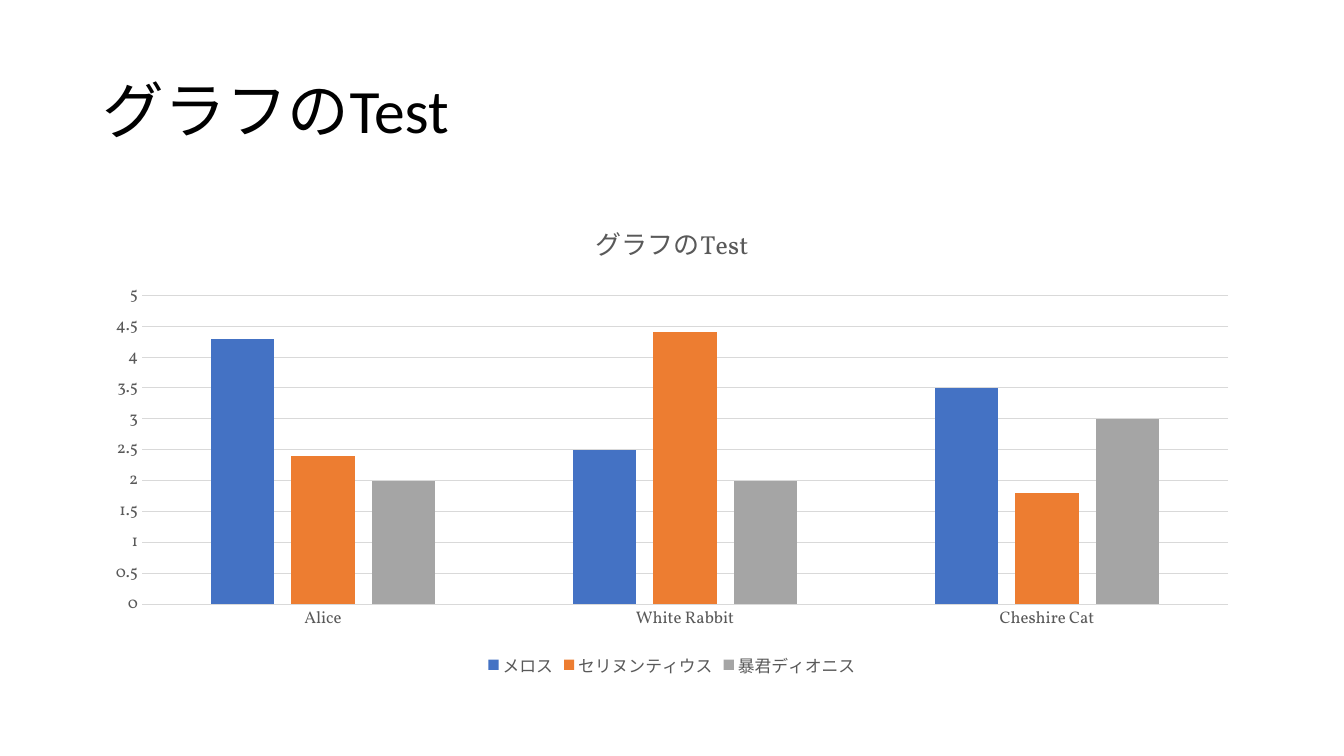
import pptx
import pptx.chart.data
import pptx.dml.color
import pptx.enum.chart
import pptx.enum.text
import pptx.util

COLORS = {
    "title": "000000",
    "label": "595959",
    "rule": "D9D9D9",
    "blue": "4472C4",
    "orange": "ED7D31",
    "gray": "A5A5A5",
}
WIDTH, HEIGHT = pptx.util.Inches(13.33), pptx.util.Inches(7.5)
HEADING = "グラフのTest"
CATEGORIES = ["Alice", "White Rabbit", "Cheshire Cat"]
SERIES = [
    ("メロス", (4.3, 2.5, 3.5), "blue"),
    ("セリヌンティウス", (2.4, 4.4, 1.8), "orange"),
    ("暴君ディオニス", (2, 2, 3), "gray"),
]


def rgb(name):
    """Return the named colour."""
    return pptx.dml.color.RGBColor.from_string(COLORS[name])


def box(top, height):
    """Return a rectangle within the side margins, from inches down the slide."""
    margin = int(WIDTH * 0.069)
    return margin, pptx.util.Inches(top), WIDTH - 2 * margin, pptx.util.Inches(height)


def style_font(font, name, size, color):
    """Set the typeface, size and colour of a font."""
    font.name = name
    font.size = pptx.util.Pt(size)
    font.bold = False
    font.color.rgb = rgb(color)


def style_line(line):
    """Draw a thin light rule."""
    line.color.rgb = rgb("rule")
    line.width = pptx.util.Pt(0.75)


def style_axis(axis):
    """Remove the tick marks of an axis and format its labels."""
    axis.major_tick_mark = pptx.enum.chart.XL_TICK_MARK.NONE
    axis.minor_tick_mark = pptx.enum.chart.XL_TICK_MARK.NONE
    style_font(axis.tick_labels.font, "Vollkorn", 12, "label")


def add_title(s):
    """Place and fill the slide title."""
    sp = s.shapes.title
    sp.left, sp.top, sp.width, sp.height = box(0.4, 1.45)
    tf = sp.text_frame
    tf.word_wrap = True
    tf.vertical_anchor = pptx.enum.text.MSO_ANCHOR.MIDDLE
    p = tf.paragraphs[0]
    p.alignment = pptx.enum.text.PP_ALIGN.LEFT
    p.line_spacing = 0.9
    r = p.add_run()
    r.text = HEADING
    style_font(r.font, "Calibri", 44, "title")


def add_column_chart(s):
    """Add the clustered column chart with its title, axes and legend."""
    data = pptx.chart.data.CategoryChartData()
    data.categories = CATEGORIES
    for name, values, _ in SERIES:
        data.add_series(name, values)
    kind = pptx.enum.chart.XL_CHART_TYPE.COLUMN_CLUSTERED
    chart = s.shapes.add_chart(kind, *box(2, 4.76), data).chart
    style_font(chart.font, "Vollkorn", 10, "title")

    chart.has_title = True
    r = chart.chart_title.text_frame.paragraphs[0].add_run()
    r.text = HEADING
    style_font(r.font, "Vollkorn", 18.6, "label")
    chart.chart_title.include_in_layout = False

    chart.has_legend = True
    chart.legend.position = pptx.enum.chart.XL_LEGEND_POSITION.BOTTOM
    chart.legend.include_in_layout = False
    style_font(chart.legend.font, "Vollkorn", 12, "label")

    style_axis(chart.category_axis)
    style_line(chart.category_axis.format.line)
    style_axis(chart.value_axis)
    chart.value_axis.format.line.fill.background()
    chart.value_axis.has_major_gridlines = True
    style_line(chart.value_axis.major_gridlines.format.line)
    chart.value_axis.minimum_scale = 0
    chart.value_axis.maximum_scale = 5
    chart.value_axis.major_unit = 0.5

    plot = chart.plots[0]
    plot.vary_by_categories = False
    plot.gap_width = 219
    plot.overlap = -27
    for series, (_, _, color) in zip(plot.series, SERIES):
        series.format.fill.solid()
        series.format.fill.fore_color.rgb = rgb(color)


def main():
    """Build and save the slide."""
    prs = pptx.Presentation()
    prs.slide_width, prs.slide_height = WIDTH, HEIGHT
    s = prs.slides.add_slide(prs.slide_layouts[5])
    add_title(s)
    add_column_chart(s)
    prs.save("out.pptx")


if __name__ == "__main__":
    main()
